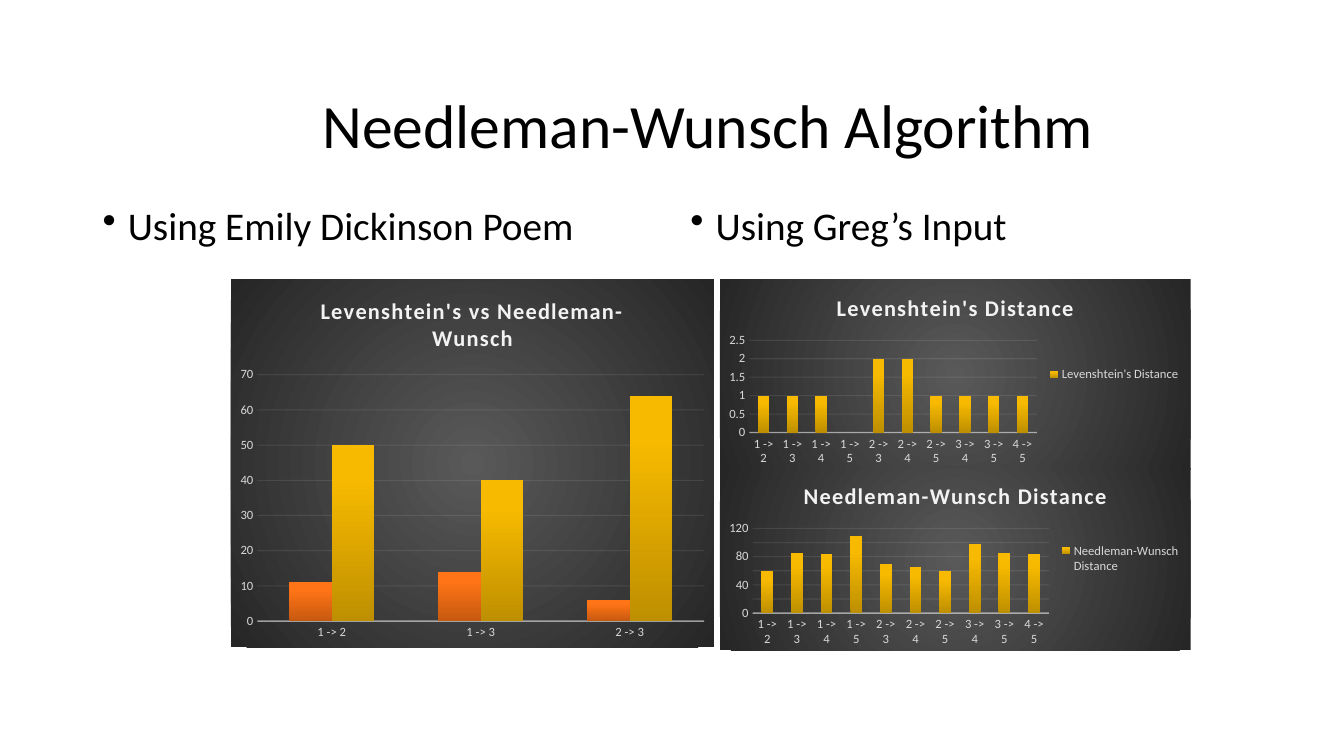
import pptx
import pptx.chart.data
import pptx.dml.color
import pptx.enum.chart
import pptx.enum.text
import pptx.oxml
import pptx.oxml.ns
import pptx.util
from pptx.util import Inches

RGBColor = pptx.dml.color.RGBColor
BLACK = RGBColor(0x00, 0x00, 0x00)
LABEL_GREY = RGBColor(0xD9, 0xD9, 0xD9)
LIGHT = RGBColor(0xF2, 0xF2, 0xF2)
PANEL = [(0, RGBColor(0x59, 0x59, 0x59)), (100, RGBColor(0x26, 0x26, 0x26))]
ORANGE = [(0, RGBColor(0xC6, 0x59, 0x10)), (80, RGBColor(0xFF, 0x74, 0x16)),
          (100, RGBColor(0xFF, 0x75, 0x17))]
GOLD = [(0, RGBColor(0xBE, 0x8F, 0x00)), (80, RGBColor(0xF7, 0xBA, 0x00)),
        (100, RGBColor(0xF8, 0xBB, 0x00))]
UPWARD = '<a:lin ang="16200000" scaled="0"/>'
FROM_CENTRE = ('<a:path path="circle"><a:fillToRect l="50000" t="50000" '
               'r="50000" b="50000"/></a:path>')


def gradient(stops, shading):
    """Return a gradient fill element."""
    marks = "".join(f'<a:gs pos="{place * 1000}"><a:srgbClr val="{color}"/></a:gs>'
                    for place, color in stops)
    return pptx.oxml.parse_xml(f'<a:gradFill {pptx.oxml.ns.nsdecls("a")}>'
                               f'<a:gsLst>{marks}</a:gsLst>{shading}</a:gradFill>')


class SlideBuilder:
    font_name = "Calibri"

    def __init__(self, slide):
        self.slide = slide

    def style(self, font, size, color, bold=False):
        font.name = self.font_name
        font.size = pptx.util.Pt(size)
        font.color.rgb = color
        font.bold = bold

    def text(self, box, words, size, bullet=False):
        frame = self.slide.shapes.add_textbox(*map(Inches, box)).text_frame
        frame.word_wrap = True
        paragraph = frame.paragraphs[0]
        paragraph.text = words
        paragraph.line_spacing = 0.9
        self.style(paragraph.font, size, BLACK)
        if bullet:
            paragraph.space_before = pptx.util.Pt(10)
            properties = paragraph._p.get_or_add_pPr()
            properties.set("marL", str(Inches(0.25)))
            properties.set("indent", str(Inches(-0.25)))
            properties.insert_element_before(pptx.oxml.parse_xml(
                f'<a:buChar {pptx.oxml.ns.nsdecls("a")} char="•"/>'),
                "a:tabLst", "a:defRPr", "a:extLst")
        else:
            frame.vertical_anchor = pptx.enum.text.MSO_ANCHOR.MIDDLE

    def faint_line(self, line, width, opacity):
        line.width = pptx.util.Pt(width)
        line.color.rgb = LIGHT
        color = line._ln.find(".//" + pptx.oxml.ns.qn("a:srgbClr"))
        color.append(pptx.oxml.parse_xml(
            f'<a:alpha {pptx.oxml.ns.nsdecls("a")} val="{opacity * 1000}"/>'))

    def column_chart(self, box, title, categories, series, legend=False):
        """Draw columns; series holds (name, values, gradient stops)."""
        data = pptx.chart.data.CategoryChartData()
        data.categories = categories
        for name, values, _ in series:
            data.add_series(name, values)
        chart = self.slide.shapes.add_chart(
            pptx.enum.chart.XL_CHART_TYPE.COLUMN_CLUSTERED,
            *map(Inches, box), data).chart
        self.style(chart.font, 10, BLACK)

        # Dark panel behind the chart
        panel = pptx.oxml.parse_xml(
            f'<c:spPr {pptx.oxml.ns.nsdecls("c", "a")}><a:ln><a:noFill/></a:ln></c:spPr>')
        panel.insert(0, gradient(PANEL, FROM_CENTRE))
        chart._chartSpace.find(pptx.oxml.ns.qn("c:chart")).addnext(panel)

        # Title and legend
        chart.has_title = True
        chart.chart_title.include_in_layout = False
        heading = chart.chart_title.text_frame.paragraphs[0]
        heading.text = title
        self.style(heading.font, 16, LIGHT, bold=True)
        heading._p.pPr.find(pptx.oxml.ns.qn("a:defRPr")).set("spc", "100")
        chart.has_legend = legend
        if legend:
            chart.legend.position = pptx.enum.chart.XL_LEGEND_POSITION.RIGHT
            chart.legend.include_in_layout = False
            self.style(chart.legend.font, 9, LABEL_GREY)

        # Axes
        for axis in (chart.category_axis, chart.value_axis):
            axis.major_tick_mark = pptx.enum.chart.XL_TICK_MARK.NONE
            axis.minor_tick_mark = pptx.enum.chart.XL_TICK_MARK.NONE
            self.style(axis.tick_labels.font, 9, LABEL_GREY)
        self.faint_line(chart.category_axis.format.line, 1, 54)
        chart.value_axis.format.line.fill.background()
        self.faint_line(chart.value_axis.major_gridlines.format.line, 0.75, 10)

        # Columns
        plot = chart.plots[0]
        plot.gap_width = 150
        plot.overlap = 0
        plot.vary_by_categories = False
        for columns, (_, _, stops) in zip(plot.series, series):
            columns.invert_if_negative = False
            columns._element.get_or_add_spPr().insert(0, gradient(stops, UPWARD))


def main():
    deck = pptx.Presentation()
    deck.slide_width, deck.slide_height = Inches(13.33), Inches(7.5)
    builder = SlideBuilder(deck.slides.add_slide(deck.slide_layouts[6]))

    # Headings
    builder.text((3.1, 0.7, 8.61, 1.16), "Needleman-Wunsch Algorithm", 44)
    for left, words in ((0.92, "Using Emily Dickinson Poem"), (6.75, "Using Greg’s Input")):
        builder.text((left, 2, 5.67, 4.76), words, 28, bullet=True)

    # Greg's input: every pair of five texts
    pairs = [f"{a} -> {b}" for a in range(1, 5) for b in range(a + 1, 6)]
    for top, height, title, values in (
            (2.77, 1.89, "Levenshtein's Distance", (1, 1, 1, 0, 2, 2, 1, 1, 1, 1)),
            (4.64, 1.81, "Needleman-Wunsch Distance",
             (59, 85, 84, 109, 69, 66, 59, 98, 85, 84))):
        builder.column_chart((7.14, top, 4.67, height), title, pairs,
                             [(title, values, GOLD)], legend=True)

    # Poem: both distances side by side
    builder.column_chart((2.29, 2.77, 4.79, 3.65), "Levenshtein's vs Needleman-Wunsch",
                         ["1 -> 2", "1 -> 3", "2 -> 3"],
                         [("Series 1", (11, 14, 6), ORANGE),
                          ("Series 2", (50, 40, 64), GOLD)])

    deck.save("out.pptx")


if __name__ == "__main__":
    main()
